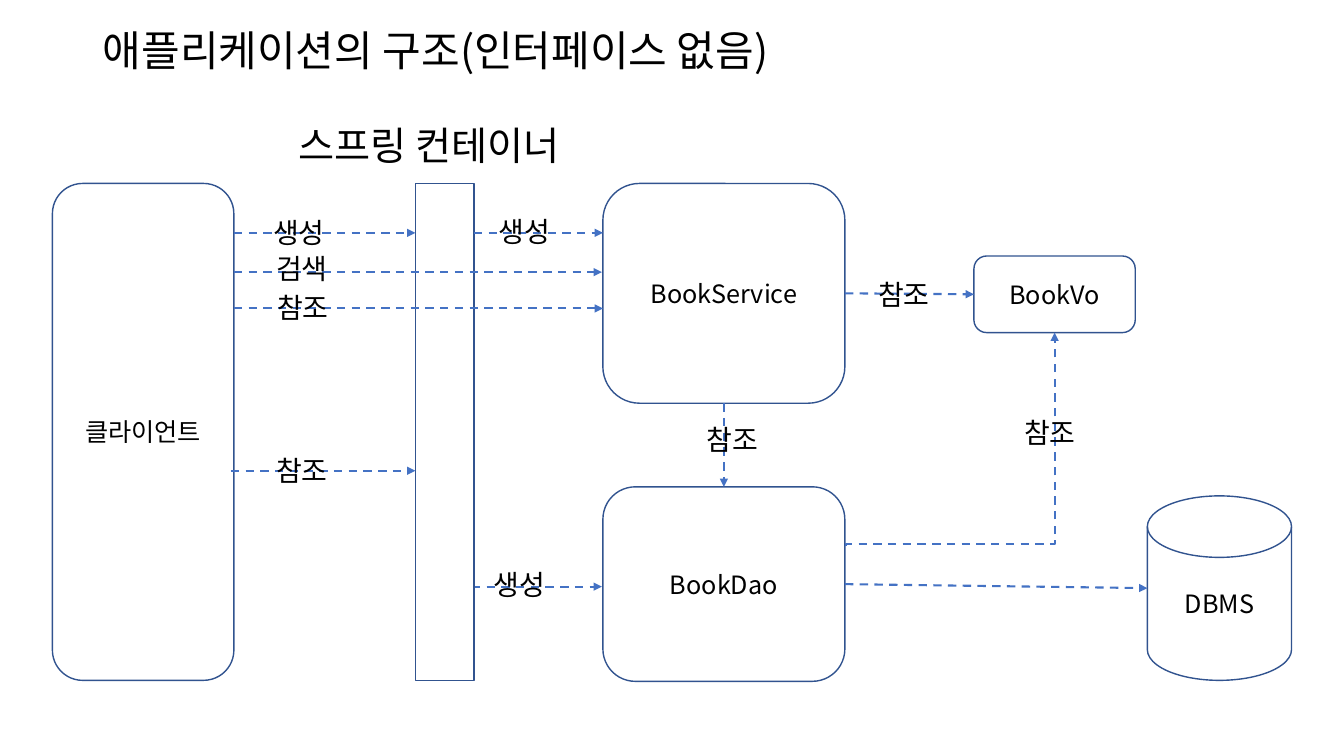
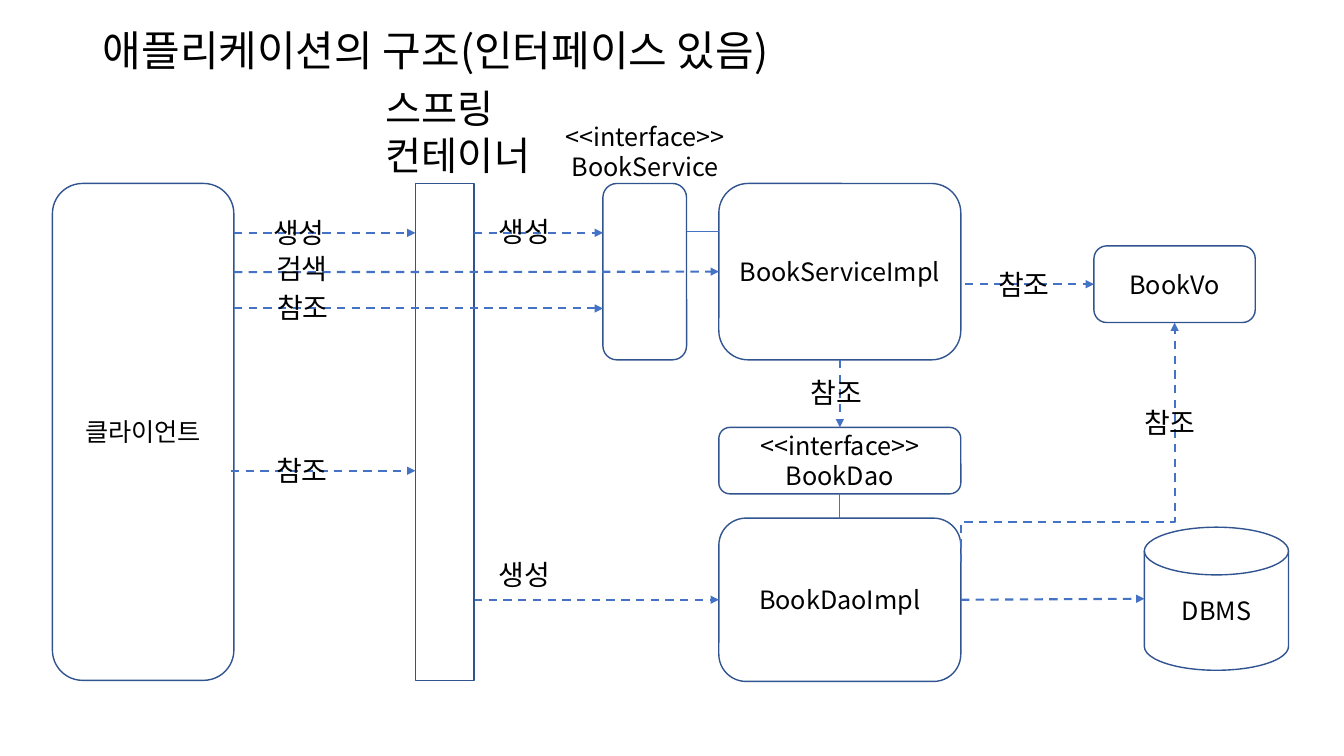
from dataclasses import dataclass

from lxml.etree import SubElement
from pptx import Presentation
from pptx.dml.color import RGBColor
from pptx.enum.dml import MSO_LINE
from pptx.enum.shapes import MSO_CONNECTOR, MSO_SHAPE
from pptx.enum.text import MSO_ANCHOR, MSO_AUTO_SIZE, PP_ALIGN
from pptx.oxml.ns import qn
from pptx.util import Inches, Pt

CELL = 0.1
FONT = "Noto Sans CJK KR"
INK, PAPER, OUTLINE, ARROW = "000000", "FFFFFF", "31538F", "4472C4"
BOTTOM, LEFT, RIGHT, TOP = 2, 1, 3, 0
SIDES = {TOP: (0.5, 0), LEFT: (0, 0.5), BOTTOM: (0.5, 1), RIGHT: (1, 0.5)}


@dataclass
class Area:
    column: float
    row: float
    columns: float
    rows: float

    def inner(self, column, row, columns, rows):
        return Area(self.column + column, self.row + row, columns, rows)

    def point(self, column, row):
        return Inches((self.column + column) * CELL), Inches((self.row + row) * CELL)

    def side(self, side):
        across, down = SIDES[side]
        return self.point(self.columns * across, self.rows * down)

    def frame(self):
        return *self.point(0, 0), Inches(self.columns * CELL), Inches(self.rows * CELL)


TITLE = Area(9.2, 1.5, 115, 7.6)
ENTRY = Area(5.2, 18.2, 41.8, 49.3)
LAYERS = Area(59.8, 18.2, 68.3, 49.3)


def colour(value):
    return RGBColor.from_string(value)


def write(frame, lines, size, align=PP_ALIGN.LEFT, anchor=MSO_ANCHOR.TOP):
    frame.word_wrap = True
    frame.vertical_anchor = anchor
    frame.text = lines
    for para in frame.paragraphs:
        para.alignment = align
        font = para.font
        font.size = Pt(size)
        font.color.rgb = colour(INK)
        font.name = FONT
        SubElement(font._element, qn("a:ea"), typeface=FONT)


def add_title(page, text):
    title = page.shapes.title
    title.left, title.top, title.width, title.height = TITLE.frame()
    write(title.text_frame, text, 30, anchor=MSO_ANCHOR.MIDDLE)
    title.text_frame.auto_size = MSO_AUTO_SIZE.NONE
    title.text_frame.paragraphs[0].line_spacing = 0.9


def add_label(page, area, text, size=20, align=PP_ALIGN.LEFT):
    box = page.shapes.add_textbox(*area.frame())
    write(box.text_frame, text, size, align)
    box.text_frame.auto_size = MSO_AUTO_SIZE.SHAPE_TO_FIT_TEXT


def add_box(page, area, text="", kind=MSO_SHAPE.ROUNDED_RECTANGLE):
    box = page.shapes.add_shape(kind, *area.frame())
    box.shadow.inherit = False
    box.fill.solid()
    box.fill.fore_color.rgb = colour(PAPER)
    box.line.color.rgb = colour(OUTLINE)
    box.line.width = Pt(1)
    if text:
        write(box.text_frame, text, 18, PP_ALIGN.CENTER, MSO_ANCHOR.MIDDLE)
    return box


def style_link(link, arrow=True):
    link.line.color.rgb = colour(ARROW)
    link.line.width = Pt(1.5 if arrow else 0.75)
    if arrow:
        link.line.dash_style = MSO_LINE.DASH
        SubElement(link.line._get_or_add_ln(), qn("a:tailEnd"), type="triangle")
    SubElement(link.element.spPr, qn("a:effectLst"))


def side_point(box, side):
    across, down = SIDES[side]
    return box.left + int(box.width * across), box.top + int(box.height * down)


def add_link(page, start, end, arrow=True):
    joins = [stop if hasattr(stop[0], "shape_id") else None for stop in (start, end)]
    points = [side_point(*join) if join else stop for join, stop in zip(joins, (start, end))]
    link = page.shapes.add_connector(MSO_CONNECTOR.STRAIGHT, *points[0], *points[1])
    for join, connect in zip(joins, (link.begin_connect, link.end_connect)):
        if join:
            connect(*join)
    style_link(link, arrow)


def add_upward_elbow(page, start, end, bend):
    width, height = start[1] - end[1], end[0] - start[0]
    left = (start[0] + end[0] - width) // 2
    top = (start[1] + end[1] - height) // 2
    link = page.shapes.add_connector(MSO_CONNECTOR.ELBOW, left, top, left + width, top + height)
    link.element.spPr.find(qn("a:xfrm")).set("rot", str(270 * 60000))
    geometry = link.element.spPr.find(qn("a:prstGeom"))
    guides = geometry.find(qn("a:avLst"))
    if guides is None:
        guides = SubElement(geometry, qn("a:avLst"))
    SubElement(guides, qn("a:gd"), name="adj1", fmla=f"val {round(bend * 100000)}")
    style_link(link)


def add_entry(page, area, search_end):
    add_box(page, area.inner(0, 0, 18, area.rows), "클라이언트")
    add_box(page, area.inner(36, 0, 5.8, area.rows), kind=MSO_SHAPE.RECTANGLE)
    service = LAYERS.column - area.column
    for start, end, row in ((18, 36, 4.9), (18, service, 12.4), (17.7, 36, 28.5),
                            (41.8, service, 4.9)):
        add_link(page, area.point(start, row), area.point(end, row))
    add_link(page, area.point(18, 8.8), search_end)
    for text, column, row in (("생성", 20.9, 2.7), ("검색", 21.2, 6.3), ("참조", 21.3, 10.1),
                              ("참조", 21.2, 26.3), ("생성", 43.3, 2.6)):
        add_label(page, area.inner(column, row, 8, 4.4), text)


def add_storage(page, vo_area, disk_area, dao, vo_start, elbow_start, bend):
    vo = add_box(page, vo_area, "BookVo")
    add_box(page, disk_area, "DBMS", MSO_SHAPE.FLOWCHART_MAGNETIC_DISK)
    add_link(page, vo_start, (vo, LEFT))
    add_link(page, (dao, RIGHT), disk_area.side(LEFT))
    add_upward_elbow(page, elbow_start, vo_area.side(BOTTOM), bend)
    for column, row in ((-10.5, 1.6), (4, 15.3)):
        add_label(page, vo_area.inner(column, row, 8.1, 4.4), "참조")


def add_class_layers(page, area):
    service = add_box(page, area.inner(0, 0, 24, 21.8), "BookService")
    dao = add_box(page, area.inner(0, 30.1, 24, 19.3), "BookDao")
    add_link(page, (service, BOTTOM), (dao, TOP))
    add_link(page, area.point(-13, 40), area.point(-0.1, 40))
    add_label(page, area.inner(9.3, 23.2, 7.8, 4.4), "참조")
    add_label(page, area.inner(-11.8, 37.6, 9.9, 4.4), "생성")
    add_storage(page, area.inner(36.8, 7.2, 16, 7.6), area.inner(54, 31, 14.3, 18.3), dao,
                (service, RIGHT), area.point(24.1, 36), 0.01)
    return area.point(-0.1, 8.8)


def add_interface_layers(page, area):
    add_box(page, area.inner(0, 0, 8.3, 17.5))
    add_label(page, area.inner(-5.3, -6.7, 19, 7.1), "<<interface>>\nBookService", 18,
              PP_ALIGN.CENTER)
    service = add_box(page, area.inner(11.5, 0, 24, 17.5), "BookServiceImpl")
    contract = add_box(page, area.inner(11.5, 24.2, 24, 6.6), "<<interface>>\nBookDao")
    dao = add_box(page, area.inner(11.5, 33.2, 24, 16.2), "BookDaoImpl")
    add_link(page, area.point(8.3, 4.8), area.point(11.5, 4.8), arrow=False)
    add_link(page, (service, BOTTOM), (contract, TOP))
    add_link(page, (contract, BOTTOM), (dao, TOP), arrow=False)
    add_link(page, area.point(-12.8, 41.3), (dao, LEFT))
    add_label(page, area.inner(19.6, 18.6, 7.8, 4.4), "참조")
    add_label(page, area.inner(-11.3, 36.6, 9.9, 4.4), "생성")
    add_storage(page, area.inner(48.7, 6.2, 16, 7.6), area.inner(53.7, 34.1, 14.3, 14.2), dao,
                area.point(35.9, 10), area.point(35.5, 37.6), 0.17)
    return service, LEFT


def add_structure(deck, title, container, container_area, add_layers):
    page = deck.slides.add_slide(deck.slide_layouts[5])
    add_title(page, title)
    add_label(page, container_area, container, 28)
    search_end = add_layers(page, LAYERS)
    add_entry(page, ENTRY, search_end)


def main():
    deck = Presentation()
    deck.slide_width, deck.slide_height = Inches(13.33), Inches(7.5)
    add_structure(deck, "애플리케이션의 구조(인터페이스 없음)", "스프링 컨테이너",
                  Area(28.6, 11.5, 33, 5.7), add_class_layers)
    add_structure(deck, "애플리케이션의 구조(인터페이스 있음)", "스프링\n컨테이너",
                  Area(37.3, 7.9, 19.4, 10.4), add_interface_layers)
    deck.save("out.pptx")


if __name__ == "__main__":
    main()
